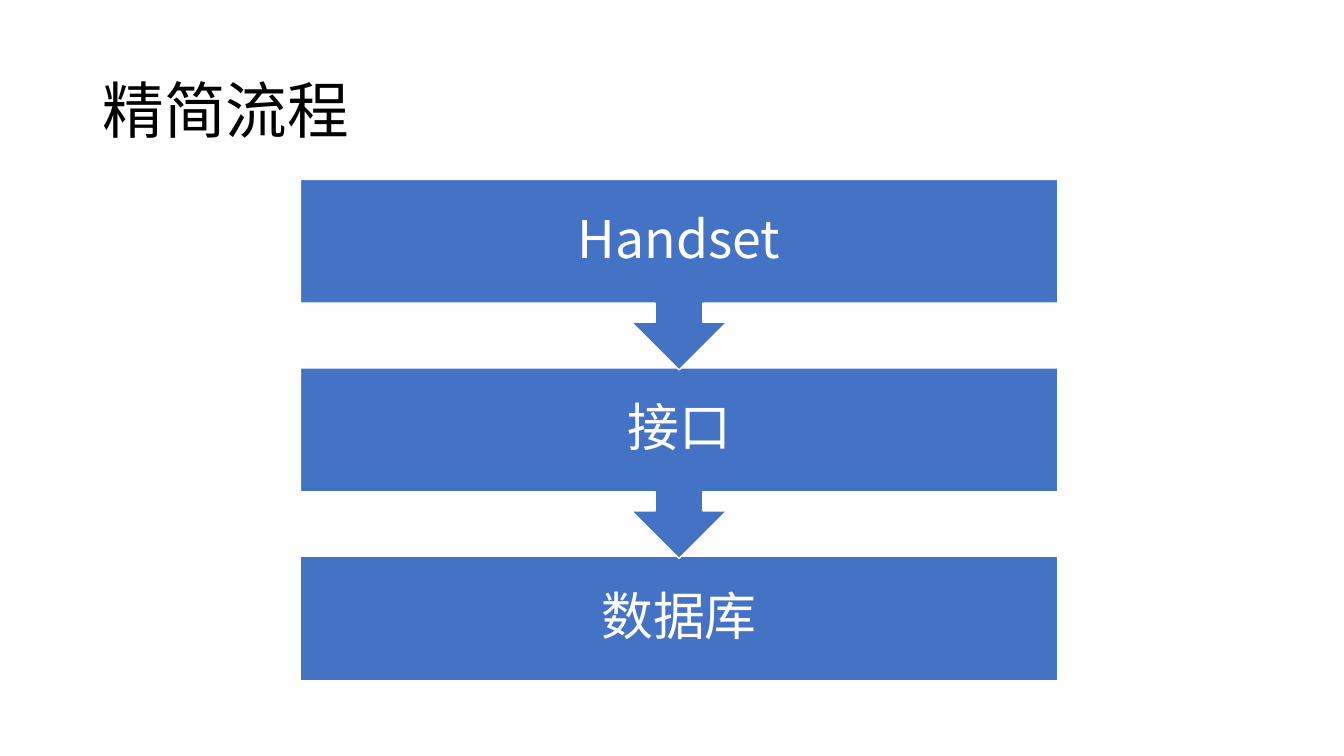
from dataclasses import dataclass

from lxml.etree import SubElement
from pptx import Presentation
from pptx.dml.color import RGBColor
from pptx.enum.shapes import MSO_SHAPE
from pptx.enum.text import MSO_ANCHOR, PP_ALIGN
from pptx.oxml.ns import qn
from pptx.util import Inches, Pt


@dataclass(frozen=True)
class Theme:
    font: str = "Noto Sans CJK SC"
    title_size: int = 44
    step_size: int = 37
    ink: RGBColor = RGBColor(0x00, 0x00, 0x00)
    paper: RGBColor = RGBColor(0xFF, 0xFF, 0xFF)
    accent: RGBColor = RGBColor(0x44, 0x72, 0xC4)
    outline: int = 1


@dataclass(frozen=True)
class Box:
    left: float
    top: float
    width: float
    height: float

    def emu(self):
        return [Inches(side) for side in (self.left, self.top, self.width, self.height)]


THEME = Theme()
SLIDE_WIDTH, SLIDE_HEIGHT = 13.33, 7.5
BODY_SHARE = 0.65
ARROW_OVERLAP = 0.02


def share_box(left, top, width, height):
    return Box(left * SLIDE_WIDTH, top * SLIDE_HEIGHT,
               width * SLIDE_WIDTH, height * SLIDE_HEIGHT)


def write_text(text_frame, text, size, color, alignment):
    text_frame.word_wrap = True
    text_frame.vertical_anchor = MSO_ANCHOR.MIDDLE
    paragraph = text_frame.paragraphs[0]
    paragraph.alignment = alignment
    paragraph.line_spacing = 0.9
    run = paragraph.add_run()
    run.text = text
    run.font.size = Pt(size)
    run.font.color.rgb = color
    run.font.name = THEME.font
    SubElement(run.font._element, qn("a:ea"), typeface=THEME.font)


def add_title(slide, box, text):
    title = slide.shapes.add_textbox(*box.emu())
    write_text(title.text_frame, text, THEME.title_size, THEME.ink, PP_ALIGN.LEFT)


def add_step(slide, box, preset, text):
    shape = slide.shapes.add_shape(preset, *box.emu())
    shape.shadow.inherit = False
    shape.fill.solid()
    shape.fill.fore_color.rgb = THEME.accent
    shape.line.color.rgb = THEME.paper
    shape.line.width = Pt(THEME.outline)
    write_text(shape.text_frame, text, THEME.step_size, THEME.paper, PP_ALIGN.CENTER)


def add_flow(slide, box, steps):
    last = len(steps) - 1
    callout_height = (box.height + last * ARROW_OVERLAP) / (last + BODY_SHARE)
    pitch = callout_height - ARROW_OVERLAP
    for row in range(last, -1, -1):
        is_last = row == last
        preset = MSO_SHAPE.RECTANGLE if is_last else MSO_SHAPE.DOWN_ARROW_CALLOUT
        height = callout_height * (BODY_SHARE if is_last else 1)
        step_box = Box(box.left, box.top + row * pitch, box.width, height)
        add_step(slide, step_box, preset, steps[row])


def main():
    presentation = Presentation()
    presentation.slide_width = Inches(SLIDE_WIDTH)
    presentation.slide_height = Inches(SLIDE_HEIGHT)
    slide = presentation.slides.add_slide(presentation.slide_layouts[6])
    add_title(slide, share_box(0.069, 0.053, 0.863, 0.193), "精简流程")
    add_flow(slide, share_box(0.2236, 0.2373, 0.5634, 0.6627),
             ["Handset", "接口", "数据库"])
    presentation.save("out.pptx")


main()
